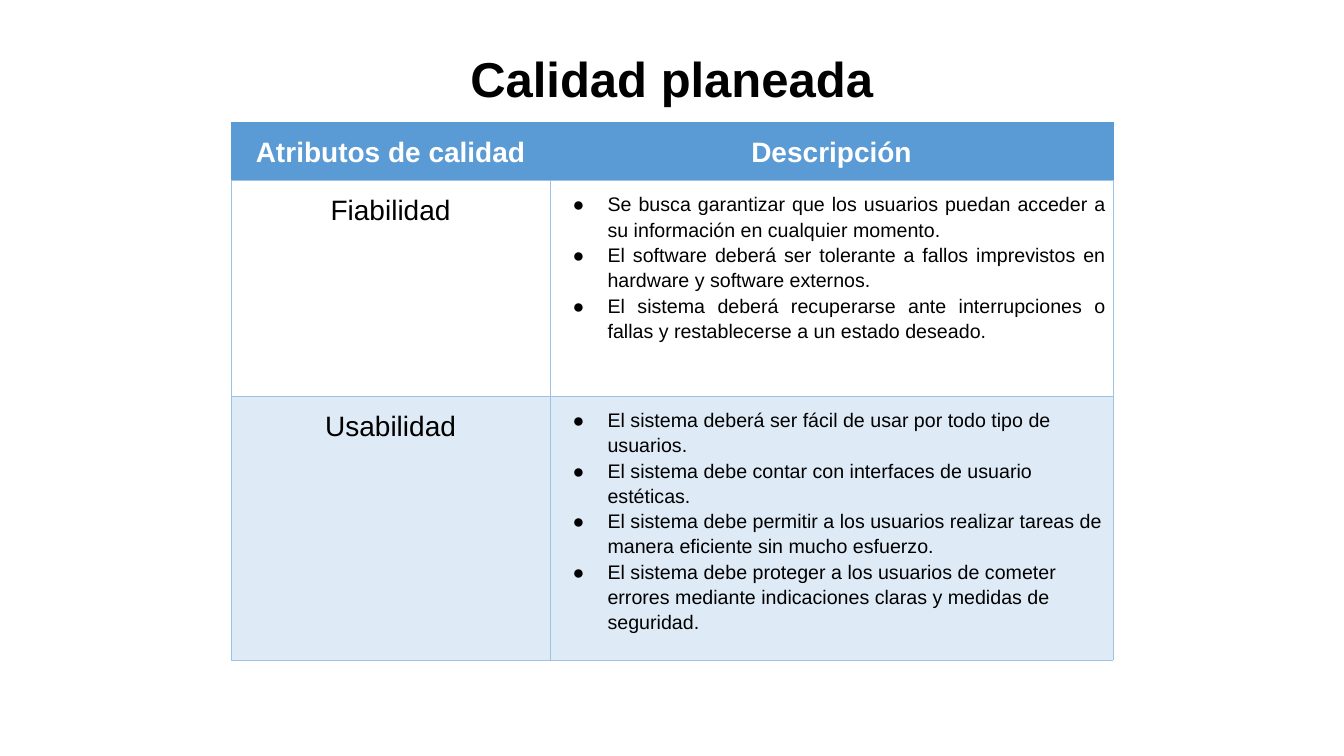
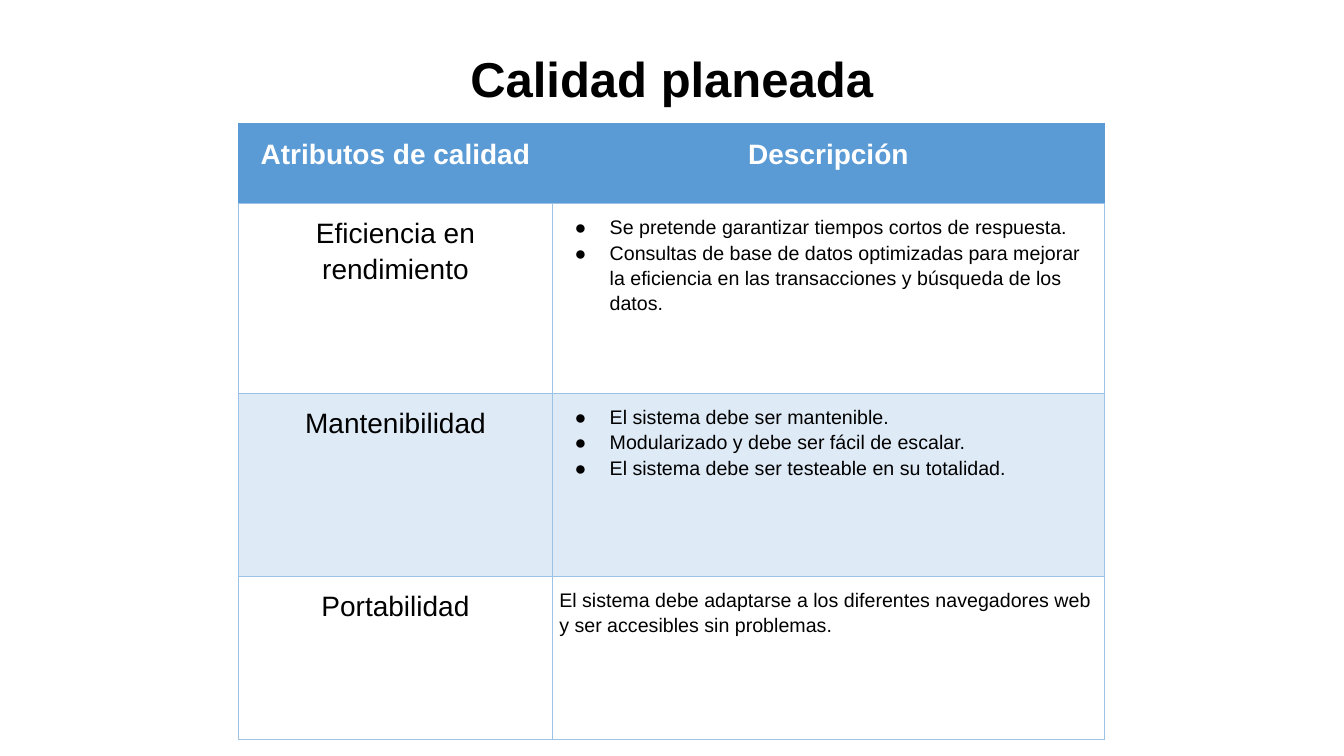
"""Build two slides with tables of planned quality attributes."""
from lxml.etree import SubElement
from pptx import Presentation
from pptx.dml.color import RGBColor
from pptx.enum.text import MSO_ANCHOR as Anchor, MSO_AUTO_SIZE as AutoSize, PP_ALIGN as Align
from pptx.oxml.ns import qn
from pptx.util import Pt

BLUE, PALE, LINE, WHITE, BLACK = "5B9BD5", "DEEAF6", "9CC2E5", "FFFFFF", "000000"
FONT = "Arial"
HEADINGS = ("Atributos de calidad", ["Descripción"], Align.CENTER)

tables = [
    {
        "left": 165, "top": 87.5, "columns": (228, 402), "heights": (41.5, 154, 188.5),
        "rows": [
            ("Fiabilidad", [
                "Se busca garantizar que los usuarios puedan acceder a su información en cualquier momento.",
                "El software deberá ser tolerante a fallos imprevistos en hardware y software externos.",
                "El sistema deberá recuperarse ante interrupciones o fallas y restablecerse a un estado deseado.",
            ], Align.JUSTIFY),
            ("Usabilidad", [
                "El sistema deberá ser fácil de usar por todo tipo de usuarios.",
                "El sistema debe contar con interfaces de usuario estéticas.",
                "El sistema debe permitir a los usuarios realizar tareas de manera eficiente sin mucho esfuerzo.",
                "El sistema debe proteger a los usuarios de cometer errores mediante indicaciones claras y medidas de seguridad.",
            ], Align.LEFT),
        ],
    },
    {
        "left": 170.5, "top": 88.5, "columns": (224, 394.5), "heights": (57, 135.5, 130.5, 117),
        "rows": [
            ("Eficiencia en rendimiento", [
                "Se pretende garantizar tiempos cortos de respuesta.",
                "Consultas de base de datos optimizadas para mejorar la eficiencia en las transacciones y búsqueda de los datos.",
            ], Align.LEFT),
            ("Mantenibilidad", [
                "El sistema debe ser mantenible.",
                "Modularizado y debe ser fácil de escalar.",
                "El sistema debe ser testeable en su totalidad.",
            ], Align.LEFT),
            ("Portabilidad", [
                "El sistema debe adaptarse a los diferentes navegadores web y ser accesibles sin problemas.",
            ], Align.LEFT),
        ],
    },
]


def add_text(paragraph, text, size, color, bold, align, bullet=False):
    paragraph.alignment = align
    paragraph.line_spacing = 1.15
    if bullet:
        properties = paragraph._p.get_or_add_pPr()
        properties.set("marL", str(Pt(36)))
        properties.set("indent", str(Pt(-25)))
        bullet_color = SubElement(properties, qn("a:buClr"))
        SubElement(bullet_color, qn("a:srgbClr"), val=BLACK)
        SubElement(properties, qn("a:buFont"), typeface=FONT)
        SubElement(properties, qn("a:buChar"), char="●")
    run = paragraph.add_run()
    run.text = text
    run.font.name = FONT
    run.font.size = Pt(size)
    run.font.bold = bold
    run.font.color.rgb = RGBColor.from_string(color)


def style_cell(cell, fill, border):
    cell.margin_left = cell.margin_right = Pt(5)
    cell.margin_top = cell.margin_bottom = Pt(7.2)
    properties = cell._tc.get_or_add_tcPr()
    for side in ("lnL", "lnR", "lnT", "lnB"):
        line = SubElement(properties, qn(f"a:{side}"), w=str(Pt(0.75)))
        line_fill = SubElement(line, qn("a:solidFill"))
        SubElement(line_fill, qn("a:srgbClr"), val=border)
    cell.fill.solid()
    cell.fill.fore_color.rgb = RGBColor.from_string(fill)


presentation = Presentation()
presentation.slide_width = Pt(960)
presentation.slide_height = Pt(540)

for content in tables:
    slide = presentation.slides.add_slide(presentation.slide_layouts[5])
    title = slide.shapes.title
    title.left, title.top, title.width, title.height = Pt(67), Pt(25), Pt(826), Pt(50)
    title.text_frame.auto_size = AutoSize.NONE
    title.text_frame.vertical_anchor = Anchor.TOP
    add_text(title.text_frame.paragraphs[0], "Calidad planeada", 35, BLACK, True, Align.CENTER)

    columns, heights = content["columns"], content["heights"]
    table = slide.shapes.add_table(
        len(heights), len(columns), Pt(content["left"]), Pt(content["top"]),
        Pt(sum(columns)), Pt(sum(heights))).table
    table.first_row = True
    table.horz_banding = False
    for column, width in zip(table.columns, columns):
        column.width = Pt(width)

    for index, (name, lines, align) in enumerate([HEADINGS] + content["rows"]):
        header = index == 0
        table.rows[index].height = Pt(heights[index])
        fill = BLUE if header else (WHITE, PALE)[(index - 1) % 2]
        color = WHITE if header else BLACK
        name_cell, text_cell = table.cell(index, 0), table.cell(index, 1)
        for cell in (name_cell, text_cell):
            style_cell(cell, fill, BLUE if header else LINE)
        add_text(name_cell.text_frame.paragraphs[0], name, 20, color, header, Align.CENTER)
        for number, text in enumerate(lines):
            frame = text_cell.text_frame
            paragraph = frame.add_paragraph() if number else frame.paragraphs[0]
            add_text(paragraph, text, 20 if header else 14, color, header, align, len(lines) > 1)

presentation.save("out.pptx")
